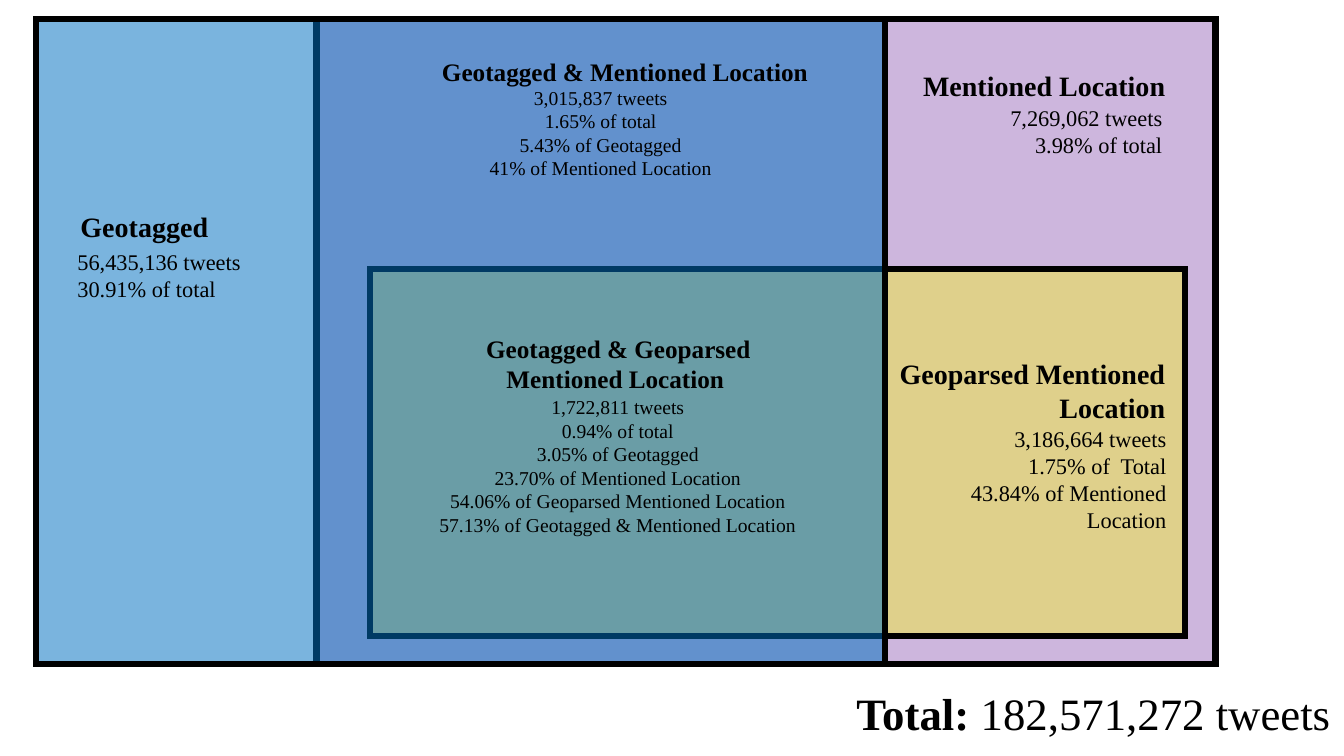
from pptx import Presentation
from pptx.dml.color import RGBColor
from pptx.enum.shapes import MSO_SHAPE as Shape
from pptx.enum.text import MSO_AUTO_SIZE as AutoSize, PP_ALIGN as Align
from pptx.oxml.ns import qn
from pptx.util import Pt
from lxml.etree import SubElement

# Content: overlapping sets, back to front (left, top, width, height, fill, opacity %)
SETS = [
    (226, 13.7, 642.2, 460.8, "mentioned", 35),
    (264.2, 192.2, 582.5, 262.1, "geoparsed", 37),
    (25.9, 13.7, 606.2, 460.8, "geotagged", 52),
]

# Regions: size names, alignment, heading with its box, figures with their box
REGIONS = [
    ("outer", Align.LEFT,
     ["Geotagged"], (50.4, 146.2, 146.2, 31.7),
     ["56,435,136 tweets", "30.91% of total"], (48.2, 173.5, 145.4, 46.1)),
    ("outer", Align.RIGHT,
     ["Mentioned Location"], (636.5, 45.4, 203, 31.7),
     ["7,269,062 tweets", "3.98% of total"], (670.3, 70.6, 167, 46.1)),
    ("outer", Align.RIGHT,
     ["Geoparsed Mentioned", "Location"], (633.6, 251.3, 205.9, 55.4),
     ["3,186,664 tweets", "1.75% of  Total", "43.84% of Mentioned", "Location"],
     (612.7, 300.2, 227.5, 85)),
    ("overlap", Align.CENTER,
     ["Geotagged & Mentioned Location"], (306.7, 36.7, 279.4, 28.8),
     ["3,015,837 tweets", "1.65% of total", "5.43% of Geotagged",
      "41% of Mentioned Location"], (306.7, 57.6, 244.8, 74.9)),
    ("overlap", Align.CENTER,
     ["Geotagged & Geoparsed Mentioned Location "], (337.7, 234.7, 208.1, 51.1),
     ["1,722,811 tweets", "0.94% of total", "3.05% of Geotagged",
      "23.70% of Mentioned Location", "54.06% of Geoparsed Mentioned Location",
      "57.13% of Geotagged & Mentioned Location"], (270, 278.6, 342.7, 108.7)),
]
TOTAL_LABEL, TOTAL_COUNT = "Total: ", "182,571,272 tweets"
TOTAL_BOX = (491.8, 486, 465.8, 46.1)


class Theme:
    font = "Times New Roman"
    ink = RGBColor.from_string("000000")
    fills = {"mentioned": "7030A0", "geoparsed": "FFFF00", "geotagged": "0070C0"}
    sizes = {"outer": (20, 16), "overlap": (18, 14)}  # heading, figures
    total_size = 32
    border = 4.5


deck = Presentation()
deck.slide_width, deck.slide_height = Pt(960), Pt(540)
slide = deck.slides.add_slide(deck.slide_layouts[6])


def add_set(box, fill, opacity):
    area = slide.shapes.add_shape(Shape.RECTANGLE, *map(Pt, box))
    area.shadow.inherit = False
    area.fill.solid()
    area.fill.fore_color.rgb = RGBColor.from_string(Theme.fills[fill])
    colour = area.fill._xPr.find(qn("a:solidFill"))[0]
    SubElement(colour, qn("a:alpha"), val=str(opacity * 1000))
    area.line.color.rgb = Theme.ink
    area.line.width = Pt(Theme.border)
    SubElement(area.line._get_or_add_ln(), qn("a:miter"), lim="800000")


def add_text(lines, box, size, align=Align.LEFT, bold=False):
    """Each line is a string, or a list of (text, bold) pieces."""
    frame = slide.shapes.add_textbox(*map(Pt, box)).text_frame
    frame.word_wrap = True
    frame.auto_size = AutoSize.SHAPE_TO_FIT_TEXT
    for number, line in enumerate(lines):
        paragraph = frame.add_paragraph() if number else frame.paragraphs[0]
        paragraph.alignment = align
        for piece, heavy in [(line, bold)] if isinstance(line, str) else line:
            run = paragraph.add_run()
            run.text = piece
            run.font.name = Theme.font
            run.font.size = Pt(size)
            run.font.bold = heavy
            run.font.color.rgb = Theme.ink


# Overlapping sets
for *box, fill, opacity in SETS:
    add_set(box, fill, opacity)

# Region headings and figures
for level, align, heading, heading_box, figures, figures_box in REGIONS:
    heading_size, figures_size = Theme.sizes[level]
    add_text(heading, heading_box, heading_size, align=align, bold=True)
    add_text(figures, figures_box, figures_size, align=align)

# Grand total
add_text([[(TOTAL_LABEL, True), (TOTAL_COUNT, False)]], TOTAL_BOX,
         Theme.total_size, align=Align.RIGHT)

deck.save("out.pptx")
